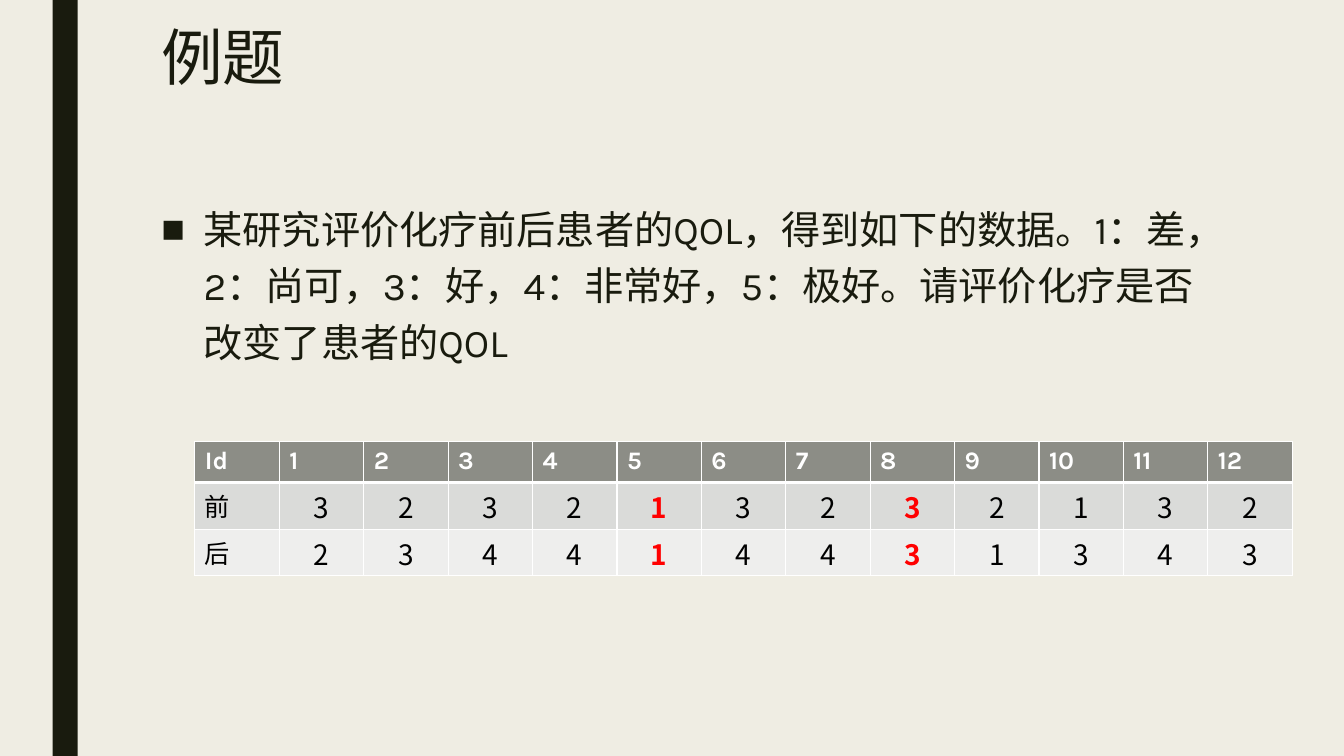
from lxml import etree
from pptx import Presentation
from pptx import util as u
from pptx.dml import color
from pptx.enum import shapes, text
from pptx.oxml import ns

INK, PAPER, WHITE, BLACK, RED = "191B0E", "EFEDE3", "FFFFFF", "000000", "FF0000"
HEADER = "8C8D86"
BANDS = ["DADBD9", "EEEEED"]
LATIN, CJK = "Karla", "Noto Sans CJK SC"

BEFORE = [3, 2, 3, 2, 1, 3, 2, 3, 2, 1, 3, 2]
AFTER = [2, 3, 4, 4, 1, 4, 4, 3, 1, 3, 4, 3]


def rgb(value):
    return color.RGBColor.from_string(value)


def add_xml(parent, tag, **attrs):
    return etree.SubElement(parent, ns.qn(tag), attrs)


class SlideBuilder:
    def __init__(self, prs):
        self.slide = prs.slides.add_slide(prs.slide_layouts[1])
        fill = self.slide.background.fill
        fill.solid()
        fill.fore_color.rgb = rgb(PAPER)

    def bar(self, left, top, width, height):
        sp = self.slide.shapes.add_shape(
            shapes.MSO_SHAPE.RECTANGLE, u.Pt(left), u.Pt(top), u.Pt(width), u.Pt(height))
        sp.shadow.inherit = False
        sp.fill.solid()
        sp.fill.fore_color.rgb = rgb(INK)
        sp.line.fill.background()

    def style(self, p, size, colour, font=LATIN, bold=False):
        for r in p.runs:
            r.font.size = u.Pt(size)
            r.font.name = font
            r.font.bold = bold
            r.font.color.rgb = rgb(colour)
            add_xml(r.font._element, "a:ea", typeface=CJK)

    def placeholder(self, index, words, box, size, spacing):
        sp = self.slide.placeholders[index]
        sp.left, sp.top, sp.width, sp.height = map(u.Pt, box)
        tf = sp.text_frame
        tf.text = words
        tf.word_wrap = True
        tf.auto_size = text.MSO_AUTO_SIZE.NONE
        tf.vertical_anchor = text.MSO_ANCHOR.TOP
        p = tf.paragraphs[0]
        p.alignment = text.PP_ALIGN.LEFT
        p.line_spacing = spacing
        self.style(p, size, INK)
        return p

    def title(self, words, *box):
        self.placeholder(0, words, box, 44, 0.89)

    def bullet(self, words, *box):
        p = self.placeholder(1, words, box, 28, 1.2)
        p.space_before, p.space_after = u.Pt(10), u.Pt(2)
        pPr = p._p.get_or_add_pPr()
        indent = u.Pt(30.24)
        pPr.set("marL", str(indent))
        pPr.set("indent", str(-indent))
        add_xml(pPr, "a:buFont", typeface="Arial")
        add_xml(pPr, "a:buChar", char="■")

    def cell(self, cell, words, fill, borders):
        cell.text = words
        tcPr = cell._tc.get_or_add_tcPr()
        for side, weight in zip("LRTB", borders):
            ln = add_xml(tcPr, f"a:ln{side}", w=str(u.Pt(weight)))
            add_xml(add_xml(ln, "a:solidFill"), "a:srgbClr", val=WHITE)
        cell.fill.solid()
        cell.fill.fore_color.rgb = rgb(fill)
        return cell.text_frame.paragraphs[0]

    def score(self, cell, p, unchanged):
        cell.vertical_anchor = text.MSO_ANCHOR.MIDDLE
        cell.margin_left = cell.margin_top = cell.margin_right = u.Pt(0.72)
        cell.margin_bottom = 0
        p.alignment = text.PP_ALIGN.CENTER
        self.style(p, 20, RED if unchanged else BLACK, CJK, unchanged)

    def table(self, rows, left, top, col_width, row_height):
        cols = len(rows[0])
        table = self.slide.shapes.add_table(
            len(rows), cols, u.Pt(left), u.Pt(top),
            u.Pt(col_width * cols), u.Pt(row_height * len(rows))).table
        for column in table.columns:
            column.width = u.Pt(col_width)
        for i, row in enumerate(rows):
            fill = BANDS[i - 1] if i else HEADER
            borders = (1, 1, 3 if i == 1 else 1, 1 if i else 3)
            for j, value in enumerate(row):
                cell = table.cell(i, j)
                p = self.cell(cell, str(value), fill, borders)
                if i and j:
                    self.score(cell, p, rows[1][j] == rows[2][j])
                else:
                    self.style(p, 18, BLACK if i else WHITE, bold=i == 0)


def main():
    prs = Presentation()
    prs.slide_width, prs.slide_height = u.Pt(960), u.Pt(540)
    s = SlideBuilder(prs)
    s.bar(37.5, 0, 18, 540)
    s.title("例题", 108, 16.56, 756, 116.64)
    s.bullet("某研究评价化疗前后患者的QOL，得到如下的数据。1：差，2：尚可，3：好，"
             "4：非常好，5：极好。请评价化疗是否改变了患者的QOL",
             108, 136.08, 756, 155.52)
    s.table([["Id", *range(1, 13)], ["前", *BEFORE], ["后", *AFTER]],
            139.2, 315.5, 60.3, 29.2)
    prs.save("out.pptx")


if __name__ == "__main__":
    main()
